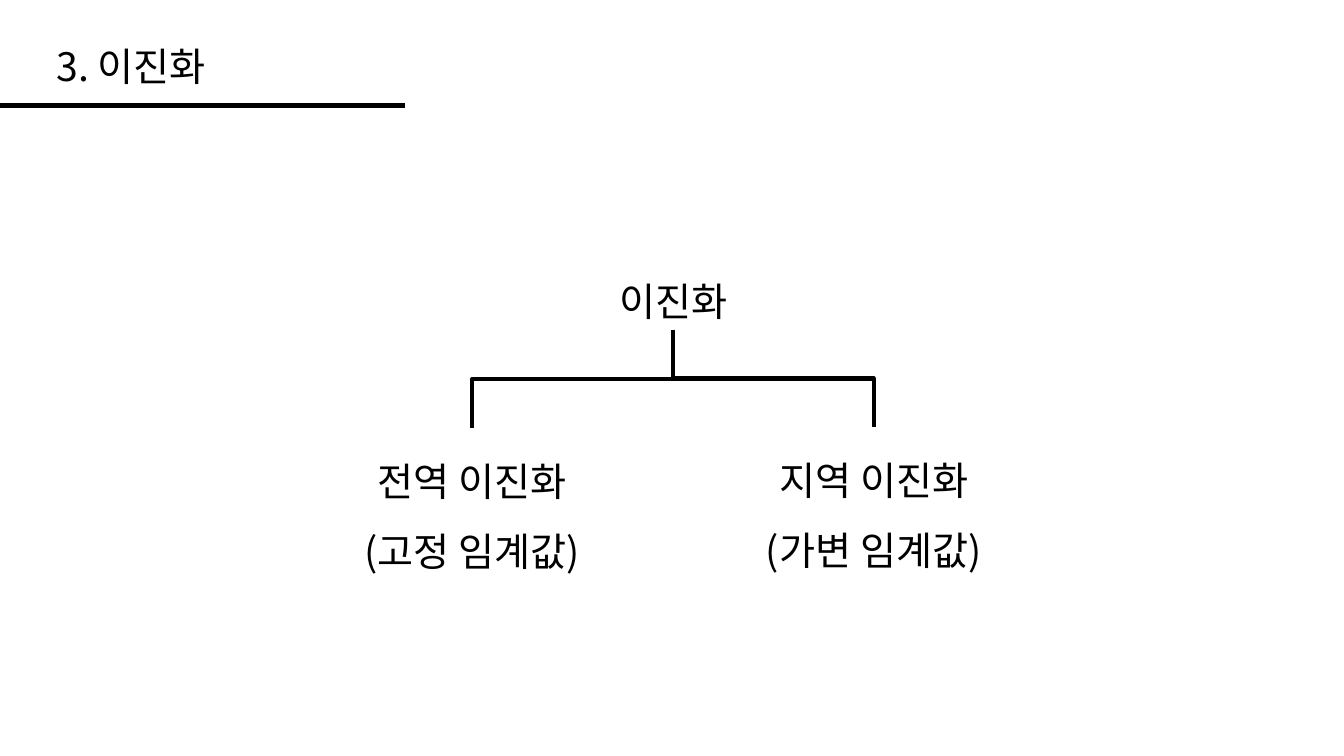
"""Builds a slide that splits binarization into its global and local kinds."""
from lxml import etree
from pptx import Presentation
from pptx.dml.color import RGBColor
from pptx.enum.shapes import MSO_CONNECTOR
from pptx.enum.text import MSO_AUTO_SIZE, PP_ALIGN
from pptx.oxml.ns import qn
from pptx.util import Inches, Pt

STRAIGHT, ELBOW = MSO_CONNECTOR.STRAIGHT, MSO_CONNECTOR.ELBOW
LEFT, CENTER = PP_ALIGN.LEFT, PP_ALIGN.CENTER
FIT_SHAPE = MSO_AUTO_SIZE.SHAPE_TO_FIT_TEXT
COLORS = {"background": "FFFFFF", "ink": "000000"}
FONT = "Noto Sans CJK KR"
LABEL_WIDTH = 2.81
LABEL_HEIGHT = 0.57


def add_label(page, left, top, height, lines, align=CENTER, spacing=None):
    """Add a text box with one paragraph per line."""
    box = page.shapes.add_textbox(
        Inches(left), Inches(top), Inches(LABEL_WIDTH), Inches(height))
    frame = box.text_frame
    frame.word_wrap = True
    frame.auto_size = FIT_SHAPE
    for index, line in enumerate(lines):
        para = frame.add_paragraph() if index else frame.paragraphs[0]
        para.alignment = align
        if spacing:
            para.line_spacing = spacing
        span = para.add_run()
        span.text = line
        span.font.size = Pt(28)
        span.font.name = FONT
        span.font.color.rgb = RGBColor.from_string(COLORS["ink"])
        east_asian = etree.SubElement(span.font._element, qn("a:ea"))
        east_asian.set("typeface", FONT)


def add_line(page, kind, start, end, weight):
    """Add a plain dark connector and return it."""
    line = page.shapes.add_connector(
        kind, *[Inches(value) for value in (*start, *end)])
    line.line.color.rgb = RGBColor.from_string(COLORS["ink"])
    line.line.width = Pt(weight)
    etree.SubElement(line._element.spPr, qn("a:effectLst"))
    return line


def add_branch(page, start, end):
    """Add an elbow that leaves start downwards and enters end from above."""
    center_x = (start[0] + end[0]) / 2
    center_y = (start[1] + end[1]) / 2
    half_drop = (end[1] - start[1]) / 2
    half_reach = abs(end[0] - start[0]) / 2
    to_right = end[0] > start[0]
    side = half_drop if to_right else -half_drop
    elbow = add_line(
        page, ELBOW,
        (center_x + side, center_y - half_reach),
        (center_x - side, center_y + half_reach), 3)
    degrees = 270 if to_right else 90
    elbow._element.spPr.find(qn("a:xfrm")).set("rot", str(degrees * 60000))


def add_heading(page, left, top, text):
    """Add the section heading with its rule from the slide edge."""
    add_label(page, left, top, LABEL_HEIGHT, [text], LEFT)
    rule_y = top + 0.68
    add_line(page, STRAIGHT, (0, rule_y), (4.02, rule_y), 3.5)


def add_tree(page, left, top, root, children):
    """Add a root label with a branch to each child label."""
    reach = 1.99
    root_left = left + reach
    root_foot = (root_left + LABEL_WIDTH / 2, top + LABEL_HEIGHT)
    add_label(page, root_left, top, LABEL_HEIGHT, [root])
    for side, child_top, lines in children:
        child_left = root_left + side * reach
        add_label(page, child_left, child_top, 1.46, lines, spacing=1.5)
        add_branch(page, root_foot, (child_left + LABEL_WIDTH / 2, child_top))


def main():
    """Build and save the deck."""
    deck = Presentation()
    deck.slide_width, deck.slide_height = Inches(13.33), Inches(7.5)
    page = deck.slides.add_slide(deck.slide_layouts[6])
    page.background.fill.solid()
    page.background.fill.fore_color.rgb = RGBColor.from_string(
        COLORS["background"])
    add_heading(page, 0.46, 0.37, "3. 이진화")
    add_tree(page, 3.28, 2.7, "이진화", [
        (-1, 4.25, ["전역 이진화", "(고정 임계값)"]),
        (1, 4.24, ["지역 이진화", "(가변 임계값)"]),
    ])
    deck.save("out.pptx")


if __name__ == "__main__":
    main()
